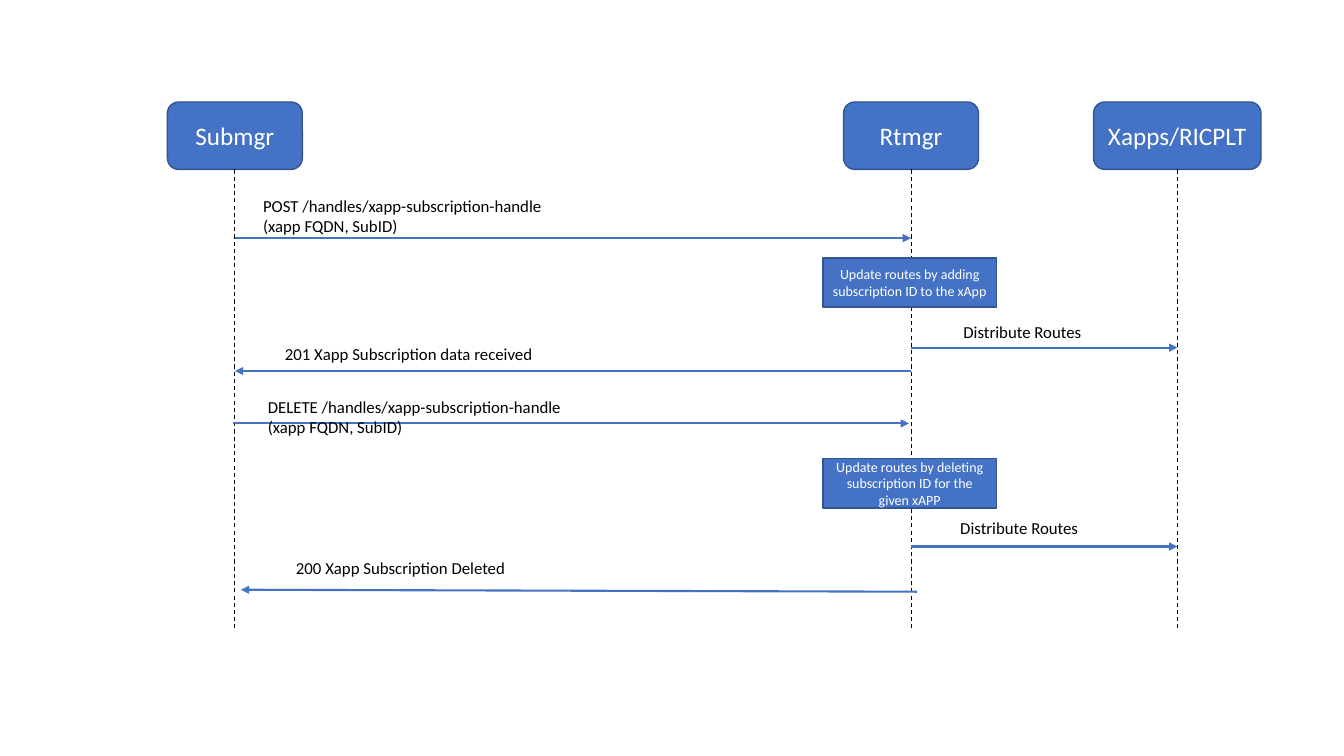
from collections import namedtuple

from lxml.etree import SubElement
from pptx import Presentation
from pptx.dml.color import RGBColor
from pptx.enum.dml import MSO_LINE_DASH_STYLE as Dash
from pptx.enum.shapes import MSO_AUTO_SHAPE_TYPE as Preset
from pptx.enum.shapes import MSO_CONNECTOR as Connector
from pptx.enum.text import MSO_ANCHOR as Anchor
from pptx.enum.text import PP_ALIGN as Align
from pptx.oxml.ns import qn
from pptx.util import Cm, Pt

COLORS = {"blue": "4472C4", "outline": "325491", "text": "000000", "light": "FFFFFF"}
FONT = "Calibri"
BOTTOM = 2

Box = namedtuple("Box", "left top width height")
Message = namedtuple("Message", "text source target y label_dx label_y shift slope")

ACTORS = [("Submgr", 1.7, 3.4), ("Rtmgr", 18.74, 3.4), ("Xapps/RICPLT", 25.45, 4.22)]
ACTOR_HEIGHT = 1.7

MESSAGES = [
    Message("POST /handles/xapp-subscription-handle\n(xapp FQDN, SubID)",
            "Submgr", "Rtmgr", 3.43, 0.46, 2.23, 0, 0),
    Message("Distribute Routes", "Rtmgr", "Xapps/RICPLT", 6.19, 1.07, 5.41, 0, 0),
    Message("201 Xapp Subscription data received",
            "Rtmgr", "Submgr", 6.78, 1.01, 5.96, 0, 0),
    Message("DELETE /handles/xapp-subscription-handle\n(xapp FQDN, SubID)",
            "Submgr", "Rtmgr", 8.1, 0.58, 7.31, -0.05, 0),
    Message("Distribute Routes", "Rtmgr", "Xapps/RICPLT", 11.2, 0.99, 10.36, 0, 0),
    Message("200 Xapp Subscription Deleted",
            "Rtmgr", "Submgr", 12.34, 1.29, 11.37, 0.15, -0.05),
]

ACTIONS = [
    ("Update routes by adding subscription ID to the xApp", 3.93),
    ("Update routes by deleting subscription ID for the given xAPP", 8.99),
]


def color(name):
    return RGBColor.from_string(COLORS[name])


def write_text(frame, text, size, color_name, align):
    frame.word_wrap = True
    frame.text = text
    for para in frame.paragraphs:
        para.alignment = align
        for span in para.runs:
            span.font.name = FONT
            span.font.size = Pt(size)
            span.font.color.rgb = color(color_name)


def add_node(page, box, preset, text, size):
    node = page.shapes.add_shape(preset, *map(Cm, box))
    node.shadow.inherit = False
    node.fill.solid()
    node.fill.fore_color.rgb = color("blue")
    node.line.color.rgb = color("outline")
    node.line.width = Pt(1)
    node.text_frame.vertical_anchor = Anchor.MIDDLE
    write_text(node.text_frame, text, size, "light", Align.CENTER)
    return node


def add_line(page, start, end, color_name, width):
    line = page.shapes.add_connector(Connector.STRAIGHT, *map(Cm, start + end))
    line.line.color.rgb = color(color_name)
    line.line.width = Pt(width)
    SubElement(line._element.spPr, qn("a:effectLst"))
    return line


def add_actor(page, box, name, lifeline_end):
    actor = add_node(page, box, Preset.ROUNDED_RECTANGLE, name, 18)
    center = box.left + box.width / 2
    lifeline = add_line(page, (center, box.top + box.height),
                        (center, lifeline_end), "text", 0.75)
    lifeline.line.dash_style = Dash.DASH
    lifeline.begin_connect(actor, BOTTOM)


def add_message(page, area, message, lifelines):
    source = area.left + lifelines[message.source] + message.shift
    target = area.left + lifelines[message.target] + message.shift
    y = area.top + message.y
    arrow = add_line(page, (source, y), (target, y + message.slope), "blue", 1.5)
    SubElement(arrow.line._get_or_add_ln(), qn("a:tailEnd"), type="triangle")

    first = min(lifelines[message.source], lifelines[message.target])
    label_width = 5.64 if message.target == "Xapps/RICPLT" else 7.95
    label_height = 1.27 if "\n" in message.text else 0.76
    label = page.shapes.add_textbox(
        Cm(area.left + first + message.label_dx), Cm(area.top + message.label_y),
        Cm(label_width), Cm(label_height))
    write_text(label.text_frame, message.text, 12, "text", Align.LEFT)


def add_sequence(page, area):
    lifelines = {name: center for name, center, _ in ACTORS}
    for name, center, width in ACTORS:
        box = Box(area.left + center - width / 2, area.top, width, ACTOR_HEIGHT)
        add_actor(page, box, name, area.top + area.height)
    for message in MESSAGES:
        add_message(page, area, message, lifelines)
    for text, y in ACTIONS:
        box = Box(area.left + lifelines["Rtmgr"] - 2.22, area.top + y, 4.37, 1.24)
        add_node(page, box, Preset.RECTANGLE, text, 10)


def main():
    deck = Presentation()
    deck.slide_width = Cm(33.87)
    deck.slide_height = Cm(19.05)
    page = deck.slides.add_slide(deck.slide_layouts[6])
    add_sequence(page, Box(4.22, 2.57, 27.56, 13.25))
    deck.save("out.pptx")


if __name__ == "__main__":
    main()
